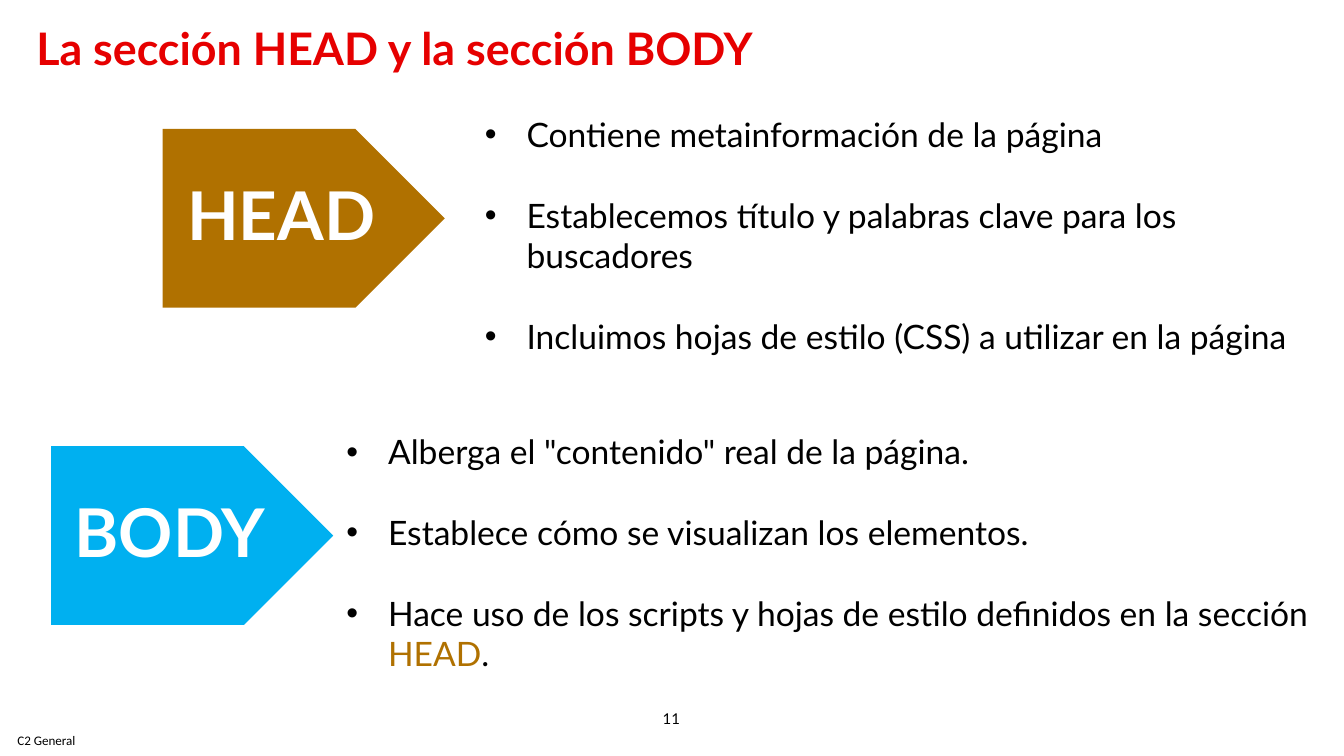
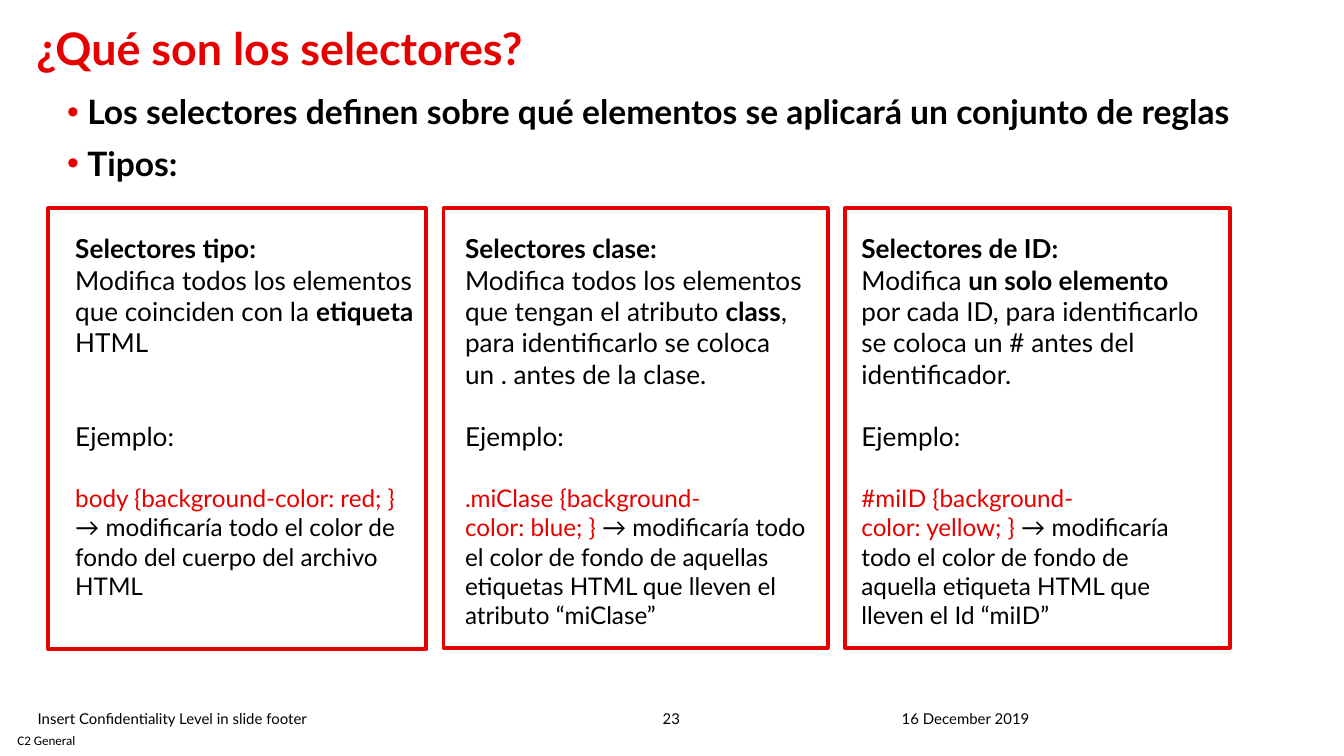
from lxml.etree import SubElement
from pptx import Presentation
from pptx.dml.color import RGBColor
from pptx.enum.shapes import MSO_SHAPE
from pptx.enum.text import MSO_ANCHOR, MSO_AUTO_SIZE, PP_ALIGN
from pptx.oxml.ns import qn
from pptx.util import Inches, Pt

RED, BLACK, WHITE = "E60000", "000000", "FFFFFF"
OCHRE, SKY = "B07100", "00B0F0"
FONT = "Lato"
HARD_SPACE = chr(160)


def color(value):
    return RGBColor.from_string(value)


def add_run(paragraph, text, size, fill=BLACK, bold=False, font=FONT):
    run = paragraph.add_run()
    run.text = text
    run.font.name = font
    run.font.size = Pt(size)
    run.font.bold = bold
    run.font.color.rgb = color(fill)


def set_indent(paragraph, left, hanging=0):
    properties = paragraph._p.get_or_add_pPr()
    properties.set("marL", str(Inches(left)))
    properties.set("indent", str(-Inches(hanging)))
    return properties


def add_bullet(paragraph, indent, fill=None):
    properties = set_indent(paragraph, indent, indent)
    if fill:
        bullet_color = SubElement(properties, qn("a:buClr"))
        SubElement(bullet_color, qn("a:srgbClr"), val=fill)
    SubElement(properties, qn("a:buFont"), typeface="Arial")
    SubElement(properties, qn("a:buChar"), char="•")


def format_frame(frame, inset=0, anchor=MSO_ANCHOR.TOP):
    frame.word_wrap = True
    frame.auto_size = MSO_AUTO_SIZE.NONE
    frame.vertical_anchor = anchor
    frame.margin_left = frame.margin_right = Inches(inset)
    frame.margin_top = frame.margin_bottom = Inches(inset)
    return frame


def add_text_frame(slide, box, anchor=MSO_ANCHOR.TOP):
    area = slide.shapes.add_textbox(*map(Inches, box))
    return format_frame(area.text_frame, anchor=anchor)


def next_paragraph(frame, index):
    return frame.add_paragraph() if index else frame.paragraphs[0]


def add_label(slide, box, text, size=8, font=FONT, indent=0,
              align=PP_ALIGN.LEFT, anchor=MSO_ANCHOR.BOTTOM):
    paragraph = add_text_frame(slide, box, anchor).paragraphs[0]
    paragraph.alignment = align
    set_indent(paragraph, indent)
    add_run(paragraph, text, size, font=font)


def start_slide(deck, heading, number):
    """Add a slide with the shared title, classification and page number."""
    slide = deck.slides.add_slide(deck.slide_layouts[5])
    title = slide.shapes.title
    title.left, title.top = Inches(0.27), Inches(0.23)
    title.width, title.height = Inches(7.15), Inches(0.73)
    paragraph = format_frame(title.text_frame).paragraphs[0]
    paragraph.alignment = PP_ALIGN.LEFT
    paragraph.line_spacing = 0.8
    add_run(paragraph, heading, 24, RED, True)
    add_label(slide, (0, 5.39, 0.68, 0.23), "C2 General", 7, "Calibri",
              indent=0.13, anchor=MSO_ANCHOR.MIDDLE)
    add_label(slide, (4.77, 5.15, 0.45, 0.26), number, align=PP_ALIGN.CENTER)
    return slide


def add_section_arrow(slide, left, top, name, fill):
    arrow = slide.shapes.add_shape(
        MSO_SHAPE.PENTAGON, *map(Inches, (left, top, 2.1, 1.33)))
    arrow.shadow.inherit = False
    arrow.fill.solid()
    arrow.fill.fore_color.rgb = color(fill)
    arrow.line.fill.background()
    frame = format_frame(arrow.text_frame, 0.01, MSO_ANCHOR.MIDDLE)
    paragraph = frame.paragraphs[0]
    paragraph.alignment = PP_ALIGN.CENTER
    paragraph.line_spacing = 0.9
    add_run(paragraph, name, 36, WHITE, True)


def add_section_points(slide, box, points):
    """Add bulleted points, each a list of (text, colour) runs."""
    frame = add_text_frame(slide, box)
    frame.margin_left = frame.margin_right = Inches(0.1)
    frame.margin_top = frame.margin_bottom = Inches(0.05)
    for index, runs in enumerate(points):
        paragraph = next_paragraph(frame, index)
        add_bullet(paragraph, 0.31)
        if index:
            paragraph.space_before = Pt(21.6)
        for text, fill in runs:
            add_run(paragraph, text, 18, fill)


def build_sections_slide(deck):
    slide = start_slide(deck, "La sección HEAD y la sección BODY", "11")
    add_section_points(slide, (2.48, 3.16, 7.43, 1.62), [
        [('Alberga el "contenido" real de la página.', BLACK)],
        [("Establece cómo se visualizan los elementos.", BLACK)],
        [("Hace uso de los scripts y hojas de estilo definidos en la sección ",
          BLACK), ("HEAD", OCHRE), (".", BLACK)],
    ])
    add_section_points(slide, (3.51, 0.8, 6.39, 1.92), [
        [("Contiene metainformación de la página", BLACK)],
        [("Establecemos título y palabras clave para los buscadores", BLACK)],
        [("Incluimos hojas de estilo (CSS) a utilizar en la página", BLACK)],
    ])
    add_section_arrow(slide, 0.38, 3.32, "BODY", SKY)
    add_section_arrow(slide, 1.21, 0.96, "HEAD", OCHRE)


def add_intro(slide, box, points):
    frame = add_text_frame(slide, box)
    for index, point in enumerate(points):
        paragraph = next_paragraph(frame, index)
        add_bullet(paragraph, 0.15, RED)
        paragraph.space_after = Pt(6)
        add_run(paragraph, point, 18, bold=True)


def add_selector_card(slide, box, text_left, text_width, paragraphs):
    """Add a framed card; paragraphs are (space before, size, runs)."""
    left, top, width, height = box
    border = slide.shapes.add_shape(MSO_SHAPE.RECTANGLE, *map(Inches, box))
    border.shadow.inherit = False
    border.fill.background()
    border.line.color.rgb = color(RED)
    border.line.width = Pt(2)
    frame = add_text_frame(
        slide, (left + text_left, top + 0.18, text_width, 3.28))
    for index, (gap, size, runs) in enumerate(paragraphs):
        paragraph = next_paragraph(frame, index)
        set_indent(paragraph, 0.5)
        if gap:
            paragraph.space_before = Pt(gap)
        for text, fill, bold in runs:
            add_run(paragraph, text, size, fill, bold)


def selector_text(name, before, key, after, rule, effect, own_line=False):
    """Lay out a selector's definition and example as paragraphs."""
    line = 16.8
    code, result = (rule, RED, False), (effect, BLACK, False)
    example = [(line, 13, [code, result])]
    if own_line:
        example = [(line, 13, [code]), (0, 13, [result])]
    return [
        (0, 14, [(name, BLACK, True)]),
        (0, 14, [(before, BLACK, False), (key, BLACK, True),
                 (after, BLACK, False)]),
        (2 * line if own_line else line, 14, [("Ejemplo:", BLACK, False)]),
    ] + example


def color_rule(selector, value):
    return f"{selector} {{background-color:{HARD_SPACE}{value}; }}"


def build_selectors_slide(deck):
    slide = start_slide(deck, "¿Qué son los selectores?", "23")
    add_label(slide, (6.71, 5.15, 2.33, 0.26), "16 December 2019")
    add_label(slide, (0.28, 5.15, 2.28, 0.26),
              "Insert Confidentiality Level in slide footer")
    add_intro(slide, (0.5, 0.68, 9.43, 0.73), [
        "Los selectores definen sobre qué elementos se aplicará un conjunto "
        "de reglas",
        "Tipos:",
    ])
    add_selector_card(slide, (0.36, 1.55, 2.81, 3.28), -0.3, 3.02, selector_text(
        "Selectores tipo:",
        "Modifica todos los elementos que coinciden con la ", "etiqueta",
        " HTML",
        color_rule("body", "red"),
        "→ modificaría todo el color de fondo del cuerpo del archivo HTML",
        own_line=True))
    add_selector_card(slide, (3.3, 1.55, 2.86, 3.27), -0.34, 3.12, selector_text(
        "Selectores clase:",
        "Modifica todos los elementos que tengan el atributo ", "class",
        ", para identificarlo se coloca un . antes de la clase.",
        color_rule(".miClase", "blue") + " ",
        "→ modificaría todo el color de fondo de aquellas etiquetas HTML "
        "que lleven el atributo “miClase”"))
    add_selector_card(slide, (6.29, 1.55, 2.86, 3.27), -0.38, 3.07, selector_text(
        "Selectores de ID:",
        "Modifica ", "un solo elemento ",
        "por cada ID, para identificarlo se coloca un # antes del "
        "identificador.",
        color_rule("#miID", "yellow") + " ",
        "→ modificaría todo el color de fondo de aquella etiqueta HTML "
        "que lleven el Id “miID”"))


def main():
    deck = Presentation()
    deck.slide_width = Inches(10)
    deck.slide_height = deck.slide_width * 9 // 16
    build_sections_slide(deck)
    build_selectors_slide(deck)
    deck.save("out.pptx")


if __name__ == "__main__":
    main()
